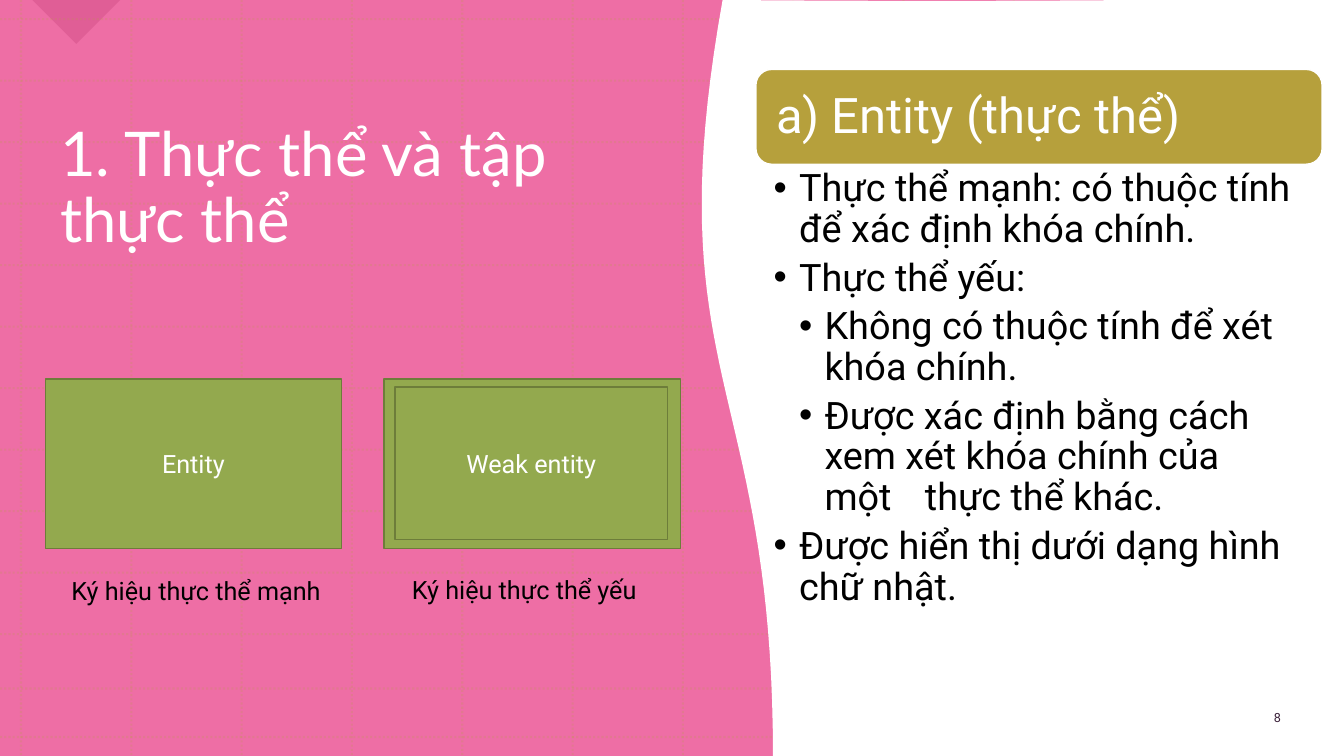
from lxml import etree
from pptx import Presentation
from pptx.dml.color import RGBColor
from pptx.enum.dml import MSO_LINE
from pptx.enum.shapes import MSO_CONNECTOR, MSO_SHAPE as Preset
from pptx.enum.text import MSO_ANCHOR as Anchor, PP_ALIGN as Align
from pptx.oxml.ns import qn
from pptx.util import Cm, Pt

PINK = RGBColor(0xEE, 0x6E, 0xA5)
CRIMSON = RGBColor(0x9C, 0x12, 0x4D)
GOLD = RGBColor(0xB6, 0xA0, 0x3C)
GREEN = RGBColor(0x93, 0xA9, 0x4E)
DARK_GREEN = RGBColor(0x6D, 0x7D, 0x3A)
PLUM = RGBColor(0x3B, 0x21, 0x3A)
WHITE = RGBColor(0xFF, 0xFF, 0xFF)
BLACK = RGBColor(0x00, 0x00, 0x00)

WIDTH, HEIGHT = 33.87, 19.05
INDENT = 0.64
INSETS = (0.25, 0.13, 0.25, 0.13)

# Bullet level and wording
BULLETS = [
    (1, "Thực thể mạnh: có thuộc tính để xác định khóa chính."),
    (1, "Thực thể yếu:"),
    (2, "Không có thuộc tính để xét khóa chính."),
    (2, "Được xác định bằng cách xem xét khóa chính của một \tthực thể khác."),
    (1, "Được hiển thị dưới dạng hình chữ nhật."),
]


def set_opacity(element, percent):
    """Make the solid colour inside an element partly transparent."""
    color = element.find(".//" + qn("a:srgbClr"))
    etree.SubElement(color, qn("a:alpha")).set("val", str(percent * 1000))


def style_shape(shape, fill, line=None):
    shape.shadow.inherit = False
    shape.fill.solid()
    shape.fill.fore_color.rgb = fill
    if line is None:
        shape.line.fill.background()
    else:
        shape.line.color.rgb = line
        shape.line.width = Pt(1)


def add_block(page, preset, box, fill, line=None):
    shape = page.shapes.add_shape(preset, *map(Cm, box))
    style_shape(shape, fill, line)
    return shape


def add_grid_line(page, x1, y1, x2, y2):
    rule = page.shapes.add_connector(MSO_CONNECTOR.STRAIGHT, *map(Cm, (x1, y1, x2, y2)))
    rule.line.color.rgb = GOLD
    rule.line.width = Pt(1.5)
    rule.line.dash_style = MSO_LINE.ROUND_DOT
    properties = rule.line._get_or_add_ln().getparent()
    set_opacity(properties, 20)
    etree.SubElement(properties, qn("a:effectLst"))


def add_grid(page):
    for x in [0.53 + 2.78 * column for column in range(12)] + [33.32]:
        add_grid_line(page, x, 0, x, HEIGHT)
    for y in [0.48 + 1.55 * row for row in range(11)] + [17.35, 18.57]:
        add_grid_line(page, 0, y, WIDTH, y)


def curve(start, pull_1, pull_2, end, steps=40):
    """Points along a cubic curve, without its start."""
    points = []
    for step in range(1, steps + 1):
        t = step / steps
        weights = ((1 - t) ** 3, 3 * t * (1 - t) ** 2, 3 * t * t * (1 - t), t ** 3)
        corners = (start, pull_1, pull_2, end)
        points.append(tuple(
            sum(weight * corner[axis] for weight, corner in zip(weights, corners))
            for axis in (0, 1)))
    return points


def add_wave_panel(page):
    foot, top = (19.48, HEIGHT), (18.21, 0)
    outline = [(33.9, HEIGHT), foot]
    outline += curve(foot, (19.48, 9.55), (16.51, 9.5), top)
    outline += curve(top, (21.72, 0.03), (25.25, 0.03), (28.78, 0))
    builder = page.shapes.build_freeform(Cm(33.9), 0)
    builder.add_line_segments([(Cm(x), Cm(y)) for x, y in outline], close=True)
    style_shape(builder.convert_to_shape(), WHITE)


def set_bullet(para, level):
    properties = para._p.get_or_add_pPr()
    properties.set("marL", str(Cm(INDENT * level)))
    properties.set("indent", str(-Cm(INDENT)))
    etree.SubElement(properties, qn("a:buFont")).set("typeface", "Arial")
    etree.SubElement(properties, qn("a:buChar")).set("char", "•")


def style_para(para, size, color, font="Roboto", align=Align.LEFT, spacing=1.0):
    para.alignment = align
    para.line_spacing = spacing
    para.font.size = Pt(size)
    para.font.name = font
    para.font.color.rgb = color


def add_text(page, box, text, size, color, anchor=Anchor.TOP, insets=INSETS,
             wrap=True, **para_style):
    frame = page.shapes.add_textbox(*map(Cm, box)).text_frame
    frame.word_wrap = wrap
    frame.vertical_anchor = anchor
    (frame.margin_left, frame.margin_top,
     frame.margin_right, frame.margin_bottom) = map(Cm, insets)
    frame.paragraphs[0].text = text
    style_para(frame.paragraphs[0], size, color, **para_style)


def add_bullets(page, box):
    frame = page.shapes.add_textbox(*map(Cm, box)).text_frame
    frame.word_wrap = True
    frame.margin_left, frame.margin_right = Cm(0.45), Cm(0.69)
    for number, (level, text) in enumerate(BULLETS):
        para = frame.add_paragraph() if number else frame.paragraphs[0]
        set_bullet(para, level)
        para.level = level
        para.text = text
        style_para(para, 27, BLACK, spacing=0.9)
        para.space_after = Pt(5.4)


def add_entity(page, box, label=None):
    entity = add_block(page, Preset.RECTANGLE, box, GREEN, DARK_GREEN)
    if label:
        frame = entity.text_frame
        frame.vertical_anchor = Anchor.MIDDLE
        frame.paragraphs[0].text = label
        style_para(frame.paragraphs[0], 18, WHITE, align=Align.CENTER)


def main():
    deck = Presentation()
    deck.slide_width, deck.slide_height = Cm(WIDTH), Cm(HEIGHT)
    page = deck.slides.add_slide(deck.slide_layouts[6])

    # Background
    add_block(page, Preset.RECTANGLE, (0, 0, 33.9, HEIGHT), PINK)
    corner = add_block(page, Preset.RIGHT_TRIANGLE, (1.14, -0.79, 1.57, 1.57), CRIMSON)
    corner.rotation = 315
    set_opacity(corner._element.spPr, 17)
    add_grid(page)
    add_wave_panel(page)

    # Page number
    add_text(page, (31.09, 17.58, 2.21, 1.02), "8", 9, PLUM,
             anchor=Anchor.MIDDLE, align=Align.CENTER)

    # Definition of an entity
    add_block(page, Preset.ROUNDED_RECTANGLE, (19.05, 1.75, 14.27, 2.39), GOLD, WHITE)
    add_text(page, (19.18, 1.88, 14.05, 2.16), "a) Entity (thực thể)", 35, WHITE,
             anchor=Anchor.MIDDLE, insets=(0.38,) * 4, spacing=0.9)
    add_bullets(page, (19.05, 4.14, 14.27, 11.86))

    # Title
    add_text(page, (1.27, 0.13, 15.42, 9.3), "1. Thực thể và tập thực thể", 44, WHITE,
             anchor=Anchor.MIDDLE, font="Lato", spacing=0.9)

    # Entity symbols and captions
    add_entity(page, (1.14, 9.55, 7.47, 4.27), "Entity")
    add_entity(page, (9.68, 9.55, 7.47, 4.27))
    add_entity(page, (9.96, 9.75, 6.86, 3.84), "Weak entity")
    add_text(page, (1.55, 14.38, 6.88, 1.02), "Ký hiệu thực thể mạnh", 18, BLACK, wrap=False)
    add_text(page, (10.13, 14.33, 6.27, 1.02), "Ký hiệu thực thể yếu", 18, BLACK, wrap=False)

    deck.save("out.pptx")


if __name__ == "__main__":
    main()
